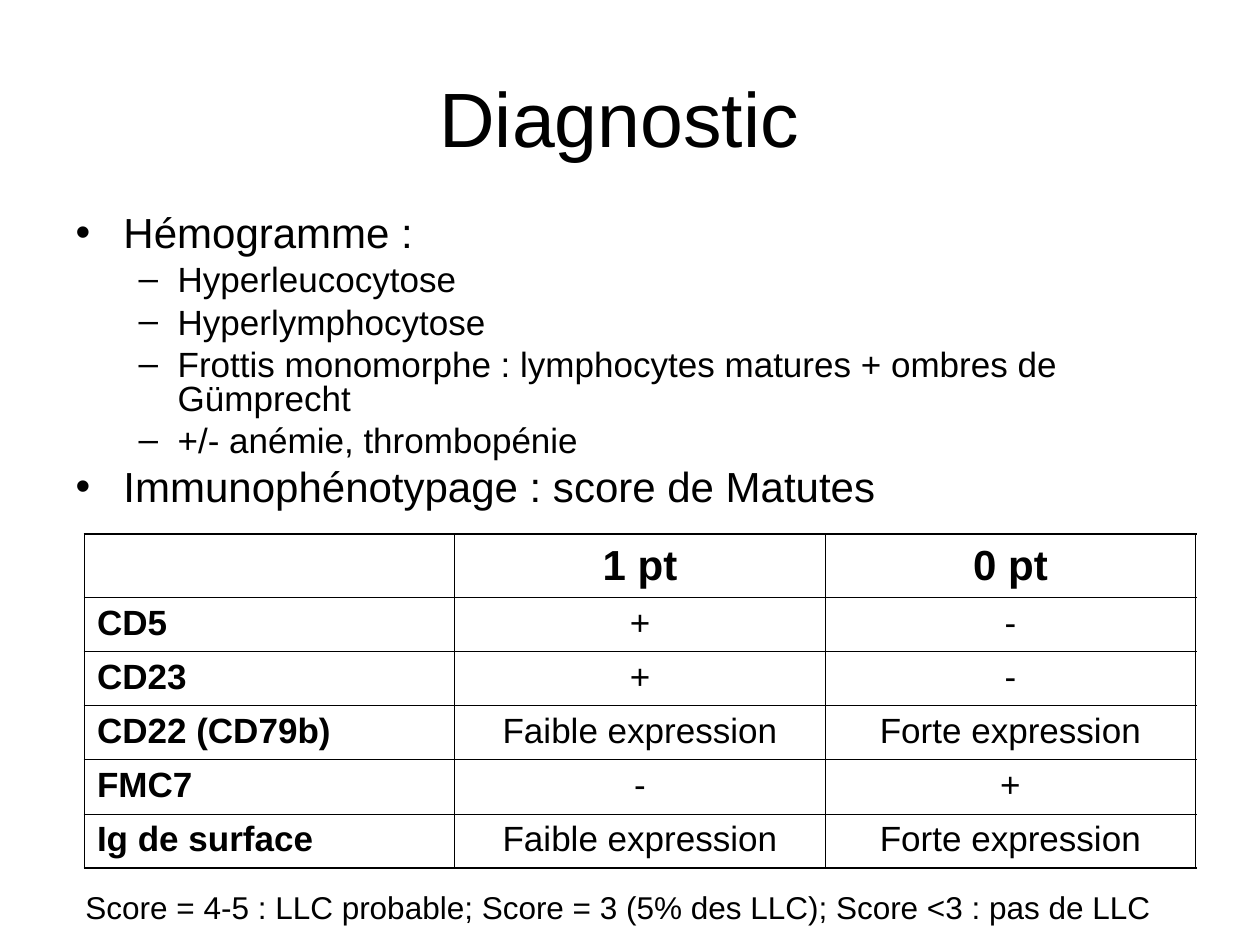
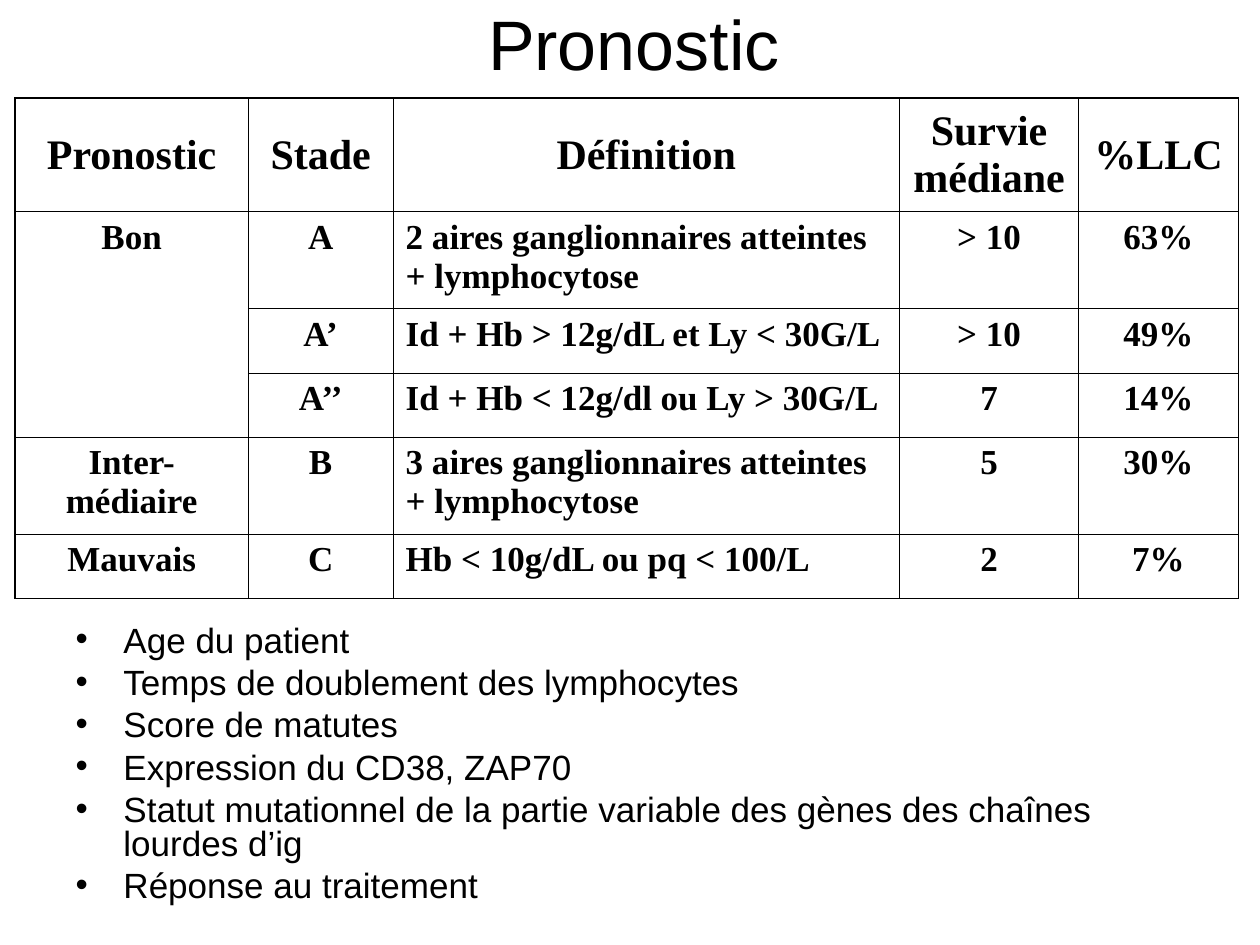
from pptx import Presentation
from pptx.dml.color import RGBColor
from pptx.enum.text import MSO_ANCHOR, MSO_AUTO_SIZE, PP_ALIGN
from pptx.oxml.ns import qn
from pptx.util import Inches, Pt
from lxml import etree

BLACK = RGBColor(0, 0, 0)
SANS, SERIF = "Arial", "Times New Roman"
LEFT, CENTER = PP_ALIGN.LEFT, PP_ALIGN.CENTER
TOP, MIDDLE = MSO_ANCHOR.TOP, MSO_ANCHOR.MIDDLE
NO_FIT = MSO_AUTO_SIZE.NONE
THIN, THICK = Pt(0.45), Pt(1.08)
MARKS = [("•", 0.38, 0.38), ("–", 0.81, 0.31)]

SIGNS = [
    (0, "Hémogramme :"),
    (1, "Hyperleucocytose"),
    (1, "Hyperlymphocytose"),
    (1, "Frottis monomorphe : lymphocytes matures + ombres de Gümprecht"),
    (1, "+/- anémie, thrombopénie"),
    (0, "Immunophénotypage : score de Matutes"),
]
WEAK, STRONG = "Faible expression", "Forte expression"
SCORES = [
    ("", "1 pt", "0 pt"),
    ("CD5", "+", "-"),
    ("CD23", "+", "-"),
    ("CD22 (CD79b)", WEAK, STRONG),
    ("FMC7", "-", "+"),
    ("Ig de surface", WEAK, STRONG),
]
RULE = "Score = 4-5 : LLC probable; Score = 3 (5% des LLC); Score <3 : pas de LLC"
STAGES = [
    ("Pronostic", "Stade", "Définition", "Survie médiane", "%LLC"),
    ("Bon", "A", "2 aires ganglionnaires atteintes + lymphocytose", "> 10", "63%"),
    ("", "A’", "Id + Hb > 12g/dL et Ly < 30G/L", "> 10", "49%"),
    ("", "A’’", "Id + Hb < 12g/dl ou Ly > 30G/L", "7", "14%"),
    ("Inter-médiaire", "B", "3 aires ganglionnaires atteintes + lymphocytose", "5", "30%"),
    ("Mauvais", "C", "Hb < 10g/dL ou pq < 100/L", "2", "7%"),
]
FACTORS = [
    (0, "Age du patient"),
    (0, "Temps de doublement des lymphocytes"),
    (0, "Score de matutes"),
    (0, "Expression du CD38, ZAP70"),
    (0, "Statut mutationnel de la partie variable des gènes des chaînes lourdes d’ig"),
    (0, "Réponse au traitement"),
]


def place(shape, box):
    """Move a shape to a box given in inches."""
    shape.left, shape.top, shape.width, shape.height = map(Inches, box)


def style(para, size, face=SANS, bold=False):
    """Set the font of a whole paragraph."""
    font = para.font
    font.name, font.size, font.bold = face, Pt(size), bold
    font.color.rgb = BLACK


def add_title(slide, box, text, size):
    """Fill and place the title placeholder."""
    title = slide.shapes.title
    place(title, box)
    frame = title.text_frame
    frame.auto_size, frame.vertical_anchor = NO_FIT, MIDDLE
    frame.text = text
    para = frame.paragraphs[0]
    para.alignment = CENTER
    style(para, size)


def add_list(slide, box, items, sizes):
    """Fill the body placeholder with bullets, sized by level."""
    body = slide.placeholders[1]
    place(body, box)
    frame = body.text_frame
    frame.auto_size, frame.vertical_anchor = NO_FIT, TOP
    for i, (level, text) in enumerate(items):
        para = frame.add_paragraph() if i else frame.paragraphs[0]
        para.text, para.level, para.alignment = text, level, LEFT
        mark, margin, hang = MARKS[level]
        props = para._p.get_or_add_pPr()
        props.set("marL", str(Inches(margin)))
        props.set("indent", str(-Inches(hang)))
        etree.SubElement(props, qn("a:buChar")).set("char", mark)
        para.line_spacing = 0.8
        para.space_before = Pt(sizes[level] / 4 if i else 0)
        style(para, sizes[level])


def add_edges(cell, widths):
    """Draw the left, right, top and bottom borders of a cell."""
    props = cell._tc.get_or_add_tcPr()
    for side, width in zip("LRTB", widths):
        line = etree.SubElement(props, qn(f"a:ln{side}"))
        line.set("w", str(width))
        fill = etree.SubElement(line, qn("a:solidFill"))
        etree.SubElement(fill, qn("a:srgbClr")).set("val", str(BLACK))


def add_grid(slide, spot, cols, rows, data, face, left, bolds):
    """Add a ruled table with one left-aligned column and some bold columns."""
    size = map(Inches, (*spot, sum(cols), sum(rows)))
    table = slide.shapes.add_table(len(rows), len(cols), *size).table
    table.first_row = table.horz_banding = False
    for col, width in zip(table.columns, cols):
        col.width = Inches(width)
    for row, height in zip(table.rows, rows):
        row.height = Inches(height)
    for r, texts in enumerate(data):
        for c, text in enumerate(texts):
            cell, head = table.cell(r, c), r == 0
            outer = (c == 0, c == len(cols) - 1, head, r == len(rows) - 1)
            add_edges(cell, [THICK if edge else THIN for edge in outer])
            cell.fill.background()
            cell.vertical_anchor = MIDDLE if head else TOP
            cell.text = text
            para = cell.text_frame.paragraphs[0]
            para.alignment = LEFT if c == left and not head else CENTER
            style(para, 24 if head else 20, face, head or c in bolds)
    return table


def add_note(slide, box, text):
    """Add a line of text under the table."""
    note = slide.shapes.add_textbox(*map(Inches, box))
    frame = note.text_frame
    frame.word_wrap = True
    frame.text = text
    style(frame.paragraphs[0], 18)


def add_signs(slide):
    """Build the diagnosis slide."""
    add_title(slide, (0.5, 0.3, 9, 1.25), "Diagnostic ", 44)
    add_list(slide, (0.5, 1.67, 9.27, 2.61), SIGNS, (24, 20))
    add_grid(slide, (0.67, 4.24), [2.94] * 3, [0.5] + [0.43] * 5,
             SCORES, SANS, 0, {0})
    add_note(slide, (0.58, 7, 9.22, 0.4), RULE)


def add_stages(slide):
    """Build the prognosis slide."""
    add_title(slide, (0.53, 0, 9, 0.68), "Pronostic", 40)
    add_list(slide, (0.5, 4.92, 9.12, 2.35), FACTORS, (20,))
    table = add_grid(slide, (0.12, 0.78), [1.85, 1.15, 4.02, 1.42, 1.27],
                     [0.9, 0.77, 0.51, 0.51, 0.77, 0.51],
                     STAGES, SERIF, 2, set(range(5)))
    table.cell(1, 0).merge(table.cell(3, 0))


def main():
    """Build and save the two slides."""
    deck = Presentation()
    deck.slide_width, deck.slide_height = Inches(10), Inches(7.5)
    for build in (add_signs, add_stages):
        build(deck.slides.add_slide(deck.slide_layouts[1]))
    deck.save("out.pptx")


if __name__ == "__main__":
    main()
